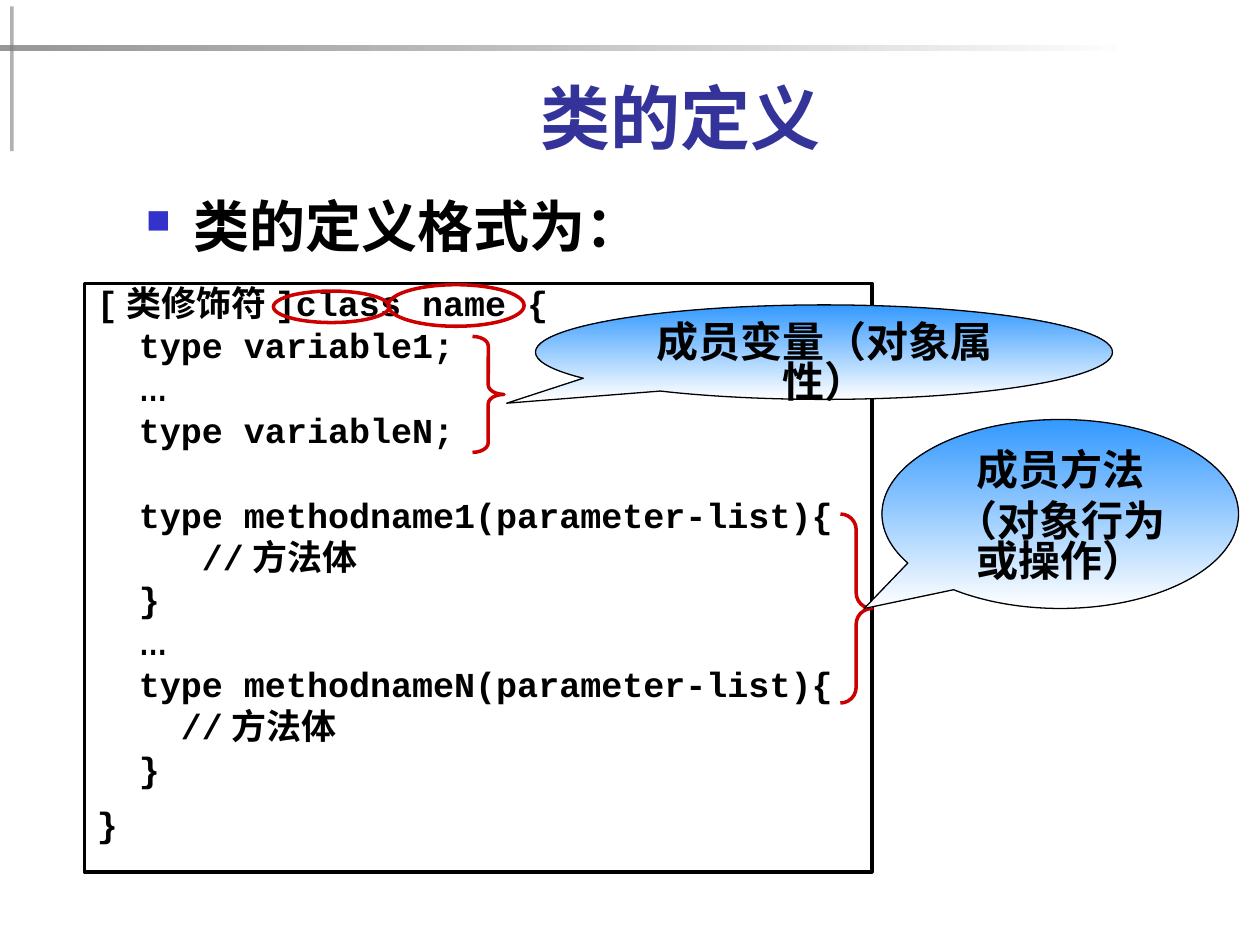
from lxml.etree import SubElement
from pptx import Presentation
from pptx.dml.color import RGBColor
from pptx.enum.shapes import MSO_SHAPE as SHAPE
from pptx.enum.text import MSO_ANCHOR as ANCHOR, PP_ALIGN as ALIGN
from pptx.oxml.ns import qn
from pptx.util import Inches, Pt

BLACK, RED = "000000", "CC0000"
MONO, NARROW, CJK = "Courier New", "Arial Narrow", "Noto Sans CJK SC"
HANGING = 0.38
CODE_GAP = 5
BLANK_LINE = 24

CODE = [
    (0, [("[类修饰符]class name {", MONO)]),
    (CODE_GAP, [("  type variable1;", MONO)]),
    (CODE_GAP, [("  ", MONO), ("…", NARROW)]),
    (CODE_GAP, [("  type variableN;", MONO)]),
    (CODE_GAP + BLANK_LINE, [("  type methodname1(parameter-list){", MONO)]),
    (CODE_GAP, [("     //", MONO), ("方法体", CJK)]),
    (CODE_GAP, [("  }", MONO)]),
    (CODE_GAP, [("  ", MONO), ("…", NARROW)]),
    (CODE_GAP, [("  type methodnameN(parameter-list){", MONO)]),
    (CODE_GAP, [("    //", MONO), ("方法体", CJK)]),
    (CODE_GAP, [("  }", MONO)]),
    (12.5, [("}", MONO)]),
]


def rgb(value):
    """Turn a hex string into a colour."""
    return RGBColor.from_string(value)


def add_run(paragraph, text, font, size, color=BLACK):
    """Add one bold run."""
    run = paragraph.add_run()
    run.text = text
    run.font.name = font
    run.font.size = Pt(size)
    run.font.bold = True
    run.font.color.rgb = rgb(color)


def set_hanging(paragraph):
    """Give a paragraph a hanging indent."""
    props = paragraph._p.get_or_add_pPr()
    props.set("marL", str(Inches(HANGING)))
    props.set("indent", str(-Inches(HANGING)))
    return props


def set_alpha(color_element, percent):
    """Make a colour partly transparent."""
    SubElement(color_element, qn("a:alpha"), val=str(percent * 1000))


def set_gradient(fill, start, end, angle):
    """Fill with a two-colour linear gradient."""
    fill.gradient()
    fill.gradient_angle = angle
    for stop, color in zip(fill.gradient_stops, (start, end)):
        stop.color.rgb = rgb(color)


def add_outline(slide, kind, box, color=None, width=2):
    """Add an unfilled preset shape, with a line if a colour is given."""
    shape = slide.shapes.add_shape(kind, *map(Inches, box))
    shape.shadow.inherit = False
    shape.fill.background()
    if color:
        shape.line.color.rgb = rgb(color)
        shape.line.width = Pt(width)
    else:
        shape.line.fill.background()
    return shape


def add_rules(slide):
    """Add the crossing rules at the top left."""
    upright = add_outline(slide, SHAPE.RECTANGLE, (0.08, 0.05, 0.03, 1.15))
    upright.fill.solid()
    upright.fill.fore_color.rgb = rgb("1C1C1C")
    level = add_outline(slide, SHAPE.RECTANGLE, (0, 0.36, 9, 0.04))
    set_gradient(level.fill, "808080", "FFFFFF", 0)
    for rule, percent in ((upright, 34), (level, 81)):
        first_color = next(rule._element.spPr.iter(qn("a:srgbClr")))
        set_alpha(first_color, percent)


def add_title(slide, text):
    """Place and fill the title."""
    title = slide.shapes.title
    title.left, title.top = Inches(1.14), Inches(0.52)
    title.width, title.height = Inches(8.52), Inches(0.79)
    title.text_frame.vertical_anchor = ANCHOR.BOTTOM
    heading = title.text_frame.paragraphs[0]
    heading.alignment = ALIGN.CENTER
    add_run(heading, text, "Lato", 40, "333399")


def add_bullet(slide, text):
    """Add the bulleted lead-in."""
    lead = slide.shapes.add_textbox(*map(Inches, (1.06, 1.47, 8.73, 0.75)))
    lead.text_frame.word_wrap = True
    paragraph = lead.text_frame.paragraphs[0]
    props = set_hanging(paragraph)
    bullet_color = SubElement(props, qn("a:buClr"))
    SubElement(bullet_color, qn("a:srgbClr"), val="3333CC")
    SubElement(props, qn("a:buSzPct"), val="60000")
    SubElement(props, qn("a:buChar"), char="■")
    add_run(paragraph, text, "Lato", 32)


def add_code(slide):
    """Add the framed class template."""
    frame = add_outline(slide, SHAPE.RECTANGLE, (0.67, 2.25, 6.25, 4.67), BLACK).text_frame
    frame.vertical_anchor = ANCHOR.TOP
    for index, (gap, runs) in enumerate(CODE):
        line = frame.add_paragraph() if index else frame.paragraphs[0]
        set_hanging(line)
        line.alignment = ALIGN.JUSTIFY if 0 < index < len(CODE) - 1 else ALIGN.LEFT
        line.line_spacing = 0.8
        line.space_before = Pt(gap)
        for text, font in runs:
            add_run(line, text, font, 20)


def add_brace(slide, box, curve):
    """Add a red right brace."""
    brace = add_outline(slide, SHAPE.RIGHT_BRACE, box, RED)
    brace.adjustments[0] = curve


def add_callout(slide, box, tip, lines):
    """Add a shaded speech bubble."""
    callout = add_outline(slide, SHAPE.OVAL_CALLOUT, box, BLACK, 0.75)
    callout.adjustments[0], callout.adjustments[1] = tip
    set_gradient(callout.fill, "3399FF", "FFFFFF", 270)
    frame = callout.text_frame
    frame.vertical_anchor = ANCHOR.TOP
    for index, text in enumerate(lines):
        paragraph = frame.add_paragraph() if index else frame.paragraphs[0]
        paragraph.alignment = ALIGN.CENTER
        paragraph.line_spacing = 0.8
        paragraph.space_before = Pt(6 if index else 0)
        add_run(paragraph, text, "Arial", 24)


def main():
    """Build and save the slide."""
    deck = Presentation()
    deck.slide_width, deck.slide_height = Inches(10), Inches(7.5)
    slide = deck.slides.add_slide(deck.slide_layouts[5])
    add_rules(slide)
    add_title(slide, "类的定义")
    add_bullet(slide, "类的定义格式为：")
    add_code(slide)
    for keyword_ring in ((2.17, 2.31, 0.92, 0.25), (3.08, 2.26, 1.08, 0.33)):
        add_outline(slide, SHAPE.OVAL, keyword_ring, RED)
    add_brace(slide, (6.67, 4.08, 0.25, 1.5), 0.5)
    add_brace(slide, (3.75, 2.67, 0.25, 0.92), 0.3)
    add_callout(slide, (4.25, 2.42, 4.58, 0.75), (-0.55, 0.54), ["成员变量（对象属性）"])
    add_callout(slide, (7, 3.33, 2.83, 1.5), (-0.55, 0.5), ["成员方法", "（对象行为或操作）"])
    deck.save("out.pptx")


if __name__ == "__main__":
    main()
